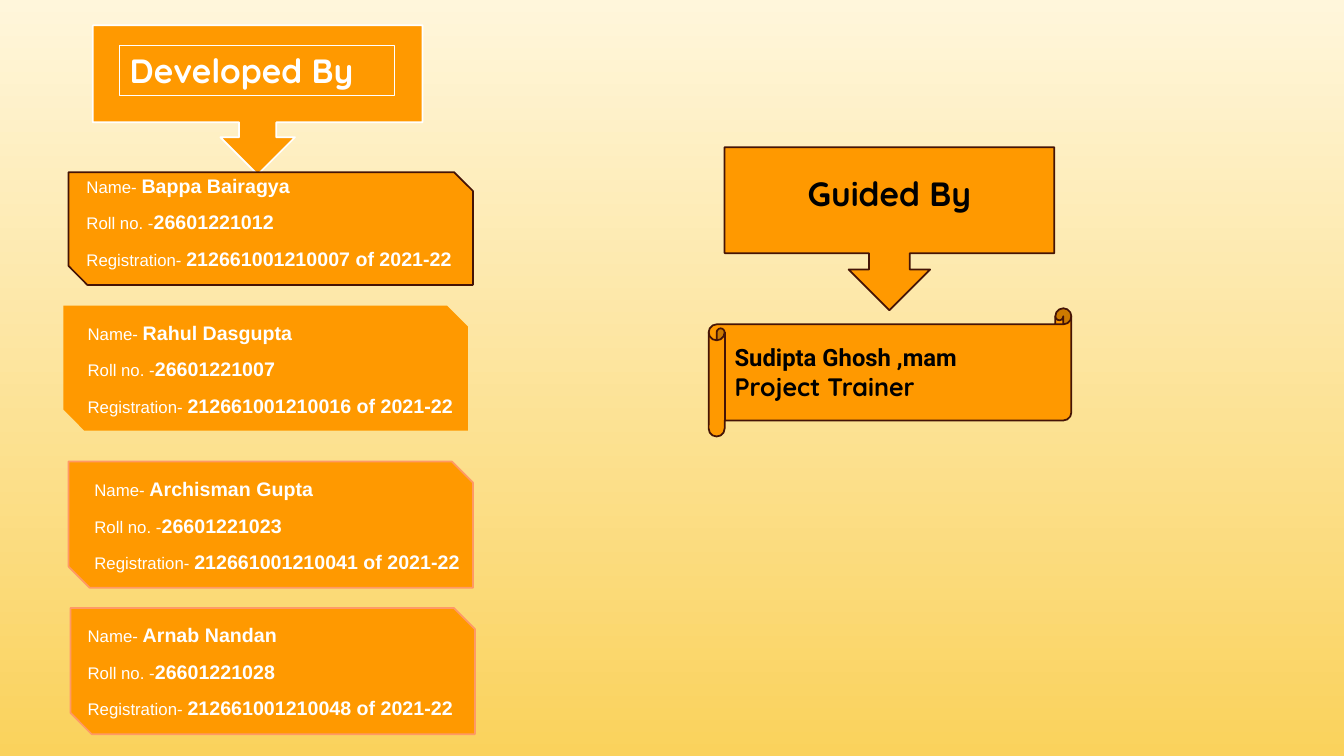
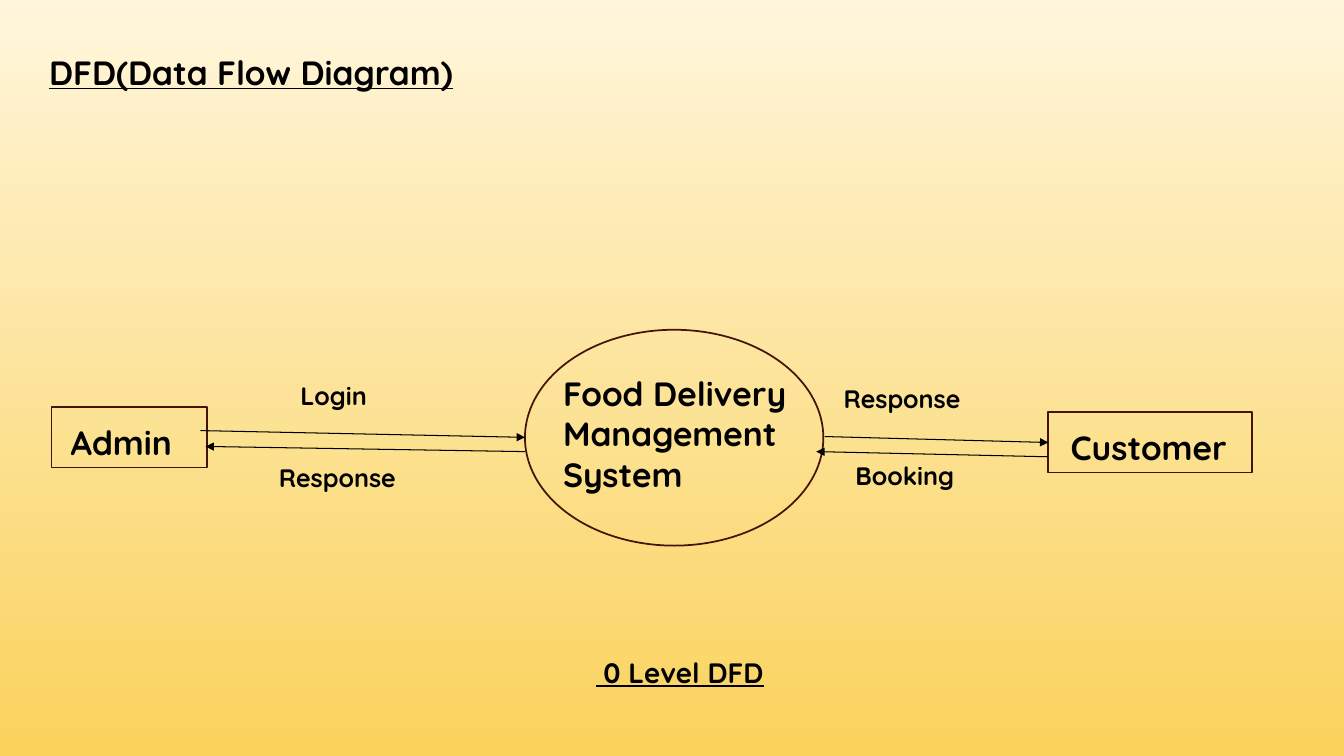
"""Project credits and the level 0 data flow diagram of a food delivery system."""
import lxml.etree
import pptx
import pptx.dml.color
import pptx.enum.shapes
import pptx.enum.text
import pptx.oxml.ns
import pptx.util

Cm = pptx.util.Cm
Pt = pptx.util.Pt
RGB = pptx.dml.color.RGBColor.from_string
SHAPE = pptx.enum.shapes.MSO_SHAPE
ALIGN = pptx.enum.text.PP_ALIGN
ANCHOR = pptx.enum.text.MSO_ANCHOR

COLORS = {
    "sky": "FFF6DB",
    "sand": "FAD25C",
    "orange": "FF9900",
    "peach": "FF9966",
    "brown": "451406",
    "white": "FFFFFF",
    "black": "000000",
}
HEADING = "Quicksand"


def add_part(slide, kind, box, fill=None, line=None, width=1.25):
    part = slide.shapes.add_shape(kind, *map(Cm, box))
    part.shadow.inherit = False
    if fill:
        part.fill.solid()
        part.fill.fore_color.rgb = RGB(COLORS[fill])
    else:
        part.fill.background()
    if line:
        part.line.color.rgb = RGB(COLORS[line])
        part.line.width = Pt(width)
    else:
        part.line.fill.background()
    return part


def write(part, text, size, color="black", underline=None, left=0.25, top=0.13,
          align=ALIGN.LEFT, anchor=ANCHOR.TOP):
    frame = part.text_frame
    frame.word_wrap = True
    frame.vertical_anchor = anchor
    frame.margin_left, frame.margin_top = Cm(left), Cm(top)
    frame.text = text
    for paragraph in frame.paragraphs:
        paragraph.alignment = align
        for run in paragraph.runs:
            run.font.name = HEADING
            run.font.size = Pt(size)
            run.font.bold = True
            run.font.underline = underline
            run.font.color.rgb = RGB(COLORS[color])


deck = pptx.Presentation()
deck.slide_width, deck.slide_height = Cm(33.87), Cm(19.05)
backdrop = deck.slide_master.background.fill
backdrop.gradient()
backdrop.gradient_angle = 270
for stop, position, color in zip(backdrop.gradient_stops, (0, 1), ("sky", "sand")):
    stop.position = position
    stop.color.rgb = RGB(COLORS[color])
blank = deck.slide_layouts[6]

credits = deck.slides.add_slide(blank)
add_part(credits, SHAPE.DOWN_ARROW_CALLOUT, (2.34, 0.64, 8.31, 3.76), "orange", "white")
developed_by = add_part(credits, SHAPE.RECTANGLE, (3.02, 1.14, 6.93, 1.27), line="white", width=0.75)
write(developed_by, "Developed By", 24, "white")

developers = [
    ("Bappa Bairagya", "26601221012", "212661001210007 of 2021-22",
     (1.73, 4.34), 2.84, "brown", (1.93, 4.22)),
    ("Rahul Dasgupta", "26601221007", "212661001210016 of 2021-22",
     (1.6, 7.7), 3.15, None, (1.96, 7.92)),
    ("Archisman Gupta", "26601221023", "212661001210041 of 2021-22",
     (1.73, 11.63), 3.18, "peach", (2.13, 11.86)),
    ("Arnab Nandan", "26601221028", "212661001210048 of 2021-22",
     (1.78, 15.32), 3.18, "peach", (1.96, 15.54)),
]
for name, roll, registration, corner, height, outline, text_corner in developers:
    add_part(credits, SHAPE.SNIP_2_DIAG_RECTANGLE, (*corner, 10.19, height), "orange", outline)
    details = credits.shapes.add_textbox(*map(Cm, (*text_corner, 10.19, 2.72))).text_frame
    details.word_wrap = True
    fields = [("Name- ", name), ("Roll no. -", roll), ("Registration- ", registration)]
    for index, field in enumerate(fields):
        paragraph = details.add_paragraph() if index else details.paragraphs[0]
        paragraph.line_spacing = 1.07
        if index:
            paragraph.space_before = Pt(8)
        for words, size, bold in zip(field, (12, 14), (False, True)):
            run = paragraph.add_run()
            run.text = words
            run.font.name = "Arial"
            run.font.size = Pt(size)
            run.font.bold = bold
            run.font.color.rgb = RGB(COLORS["white"])

guided_by = add_part(credits, SHAPE.DOWN_ARROW_CALLOUT, (18.26, 3.71, 8.31, 4.11), "orange", "brown")
write(guided_by, "Guided By", 24, top=0.64, align=ALIGN.CENTER)
guide = add_part(credits, SHAPE.HORIZONTAL_SCROLL, (17.86, 7.77, 9.14, 3.23), "orange", "brown")
write(guide, "Sudipta Ghosh ,mam\nProject Trainer", 18, anchor=ANCHOR.MIDDLE)
guide_name = guide.text_frame.paragraphs[0].runs[0].font
guide_name.name = "Roboto"
guide_name.size = Pt(17)

diagram = deck.slides.add_slide(blank)
for entity, box, indent in [
    ("Admin", (1.3, 10.26, 3.91, 1.52), 0.48),
    ("Customer", (26.42, 10.39, 5.13, 1.52), 0.56),
]:
    write(add_part(diagram, SHAPE.RECTANGLE, box, line="brown"), entity, 24, left=indent, top=0.36)
add_part(diagram, SHAPE.OVAL, (13.23, 8.31, 7.52, 5.44), line="brown")

for flow in [
    (5.05, 10.85, 13.23, 11.02),
    (13.23, 11.38, 5.18, 11.25),
    (20.78, 11, 26.42, 11.15),
    (26.42, 11.51, 20.57, 11.38),
]:
    arrow = diagram.shapes.add_connector(pptx.enum.shapes.MSO_CONNECTOR.STRAIGHT, *map(Cm, flow))
    arrow.line.color.rgb = RGB(COLORS["black"])
    arrow.line.width = Pt(0.75)
    lxml.etree.SubElement(arrow.line._get_or_add_ln(), pptx.oxml.ns.qn("a:tailEnd"), type="triangle")
    lxml.etree.SubElement(arrow._element.spPr, pptx.oxml.ns.qn("a:effectLst"))

for text, box, size, underline in [
    ("DFD(Data Flow Diagram)", (0.99, 1.17, 12.95, 1.27), 24, True),
    ("Food Delivery Management\nSystem", (13.94, 9.27, 6.93, 3.33), 24, None),
    ("Login", (7.32, 9.45, 5.1, 1.02), 18, None),
    ("Response", (6.78, 11.51, 5.1, 1.02), 18, None),
    ("Response", (21.01, 9.53, 5.1, 1.02), 18, None),
    ("Booking", (21.31, 11.48, 5.1, 1.02), 18, None),
    (" 0 Level DFD", (14.76, 16.38, 5.13, 1.12), 20, True),
]:
    write(diagram.shapes.add_textbox(*map(Cm, box)), text, size, underline=underline)

deck.save("out.pptx")
